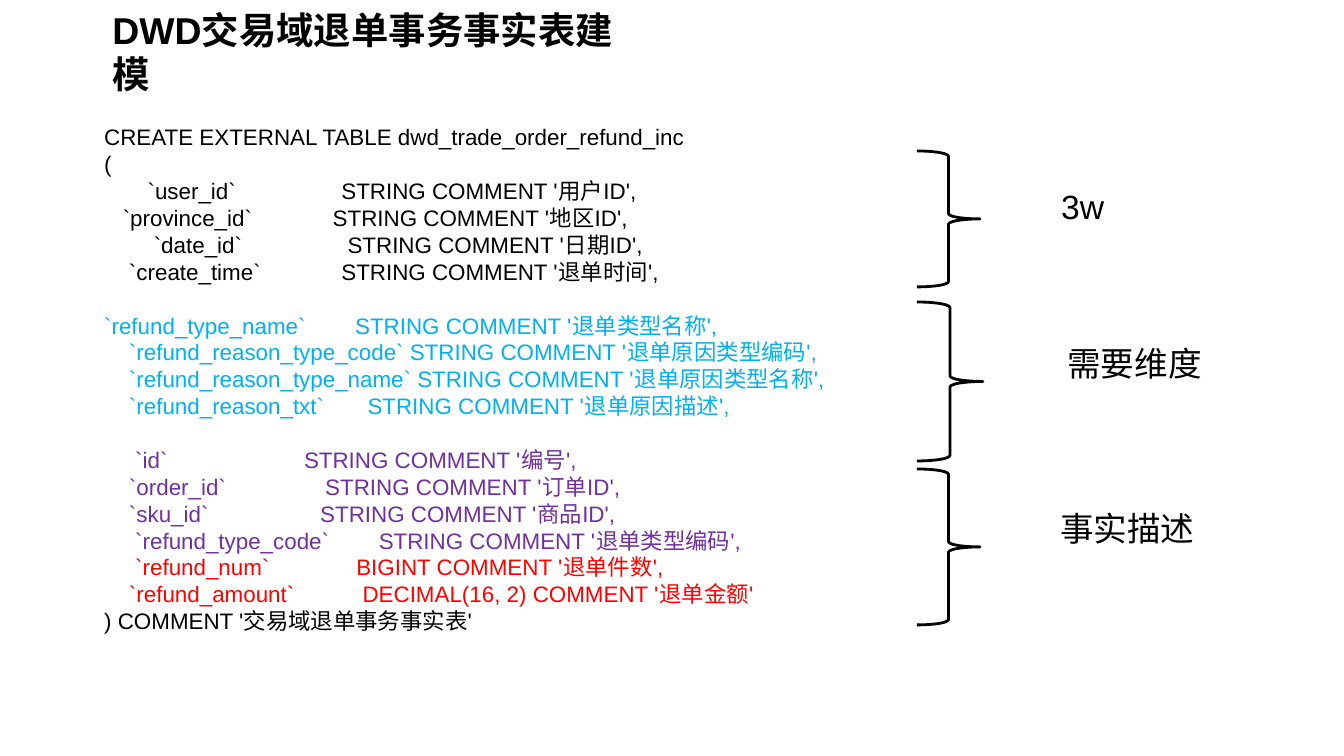
import pptx
import pptx.dml.color
import pptx.enum.shapes
import pptx.enum.text
import pptx.util

EMU_PER_PX = 9144000 / 1344
FONT = "Arial"
BLACK, BLUE, PURPLE, RED = "000000", "00B0F0", "7030A0", "FF0000"
BLANK_LINE = 14.4

CODE_SECTIONS = [
    (BLACK, 0, [
        "CREATE EXTERNAL TABLE dwd_trade_order_refund_inc",
        "(",
        "       `user_id`                 STRING COMMENT '用户ID',",
        "   `province_id`             STRING COMMENT '地区ID',",
        "        `date_id`                 STRING COMMENT '日期ID',",
        "    `create_time`             STRING COMMENT '退单时间',",
    ]),
    (BLUE, BLANK_LINE, [
        "`refund_type_name`        STRING COMMENT '退单类型名称',",
        "    `refund_reason_type_code` STRING COMMENT '退单原因类型编码',",
        "    `refund_reason_type_name` STRING COMMENT '退单原因类型名称',",
        "    `refund_reason_txt`       STRING COMMENT '退单原因描述',",
    ]),
    (PURPLE, BLANK_LINE, [
        "     `id`                      STRING COMMENT '编号',",
        "    `order_id`                STRING COMMENT '订单ID',",
        "    `sku_id`                  STRING COMMENT '商品ID',",
        "     `refund_type_code`        STRING COMMENT '退单类型编码',",
    ]),
    (RED, 0, [
        "     `refund_num`              BIGINT COMMENT '退单件数',",
        "    `refund_amount`           DECIMAL(16, 2) COMMENT '退单金额'",
    ]),
    (BLACK, 0, [") COMMENT '交易域退单事务事实表'"]),
]

BRACED_LABELS = [
    ((917, 151, 63, 136), "3w", (1048, 179, 79, 54)),
    ((917, 302, 66, 159), "需要维度", (1054, 336, 172, 54)),
    ((917, 469, 63, 156), "事实描述", (1047, 501, 165, 54)),
]


def px(length):
    return pptx.util.Emu(round(length * EMU_PER_PX))


def color(value):
    return pptx.dml.color.RGBColor.from_string(value)


def add_run(paragraph, text, size, fill, bold=False):
    run = paragraph.add_run()
    run.text = text
    run.font.name = FONT
    run.font.size = pptx.util.Pt(size)
    run.font.bold = bold
    run.font.color.rgb = color(fill)


def set_title(slide, box, text):
    title = slide.shapes.title
    title.left, title.top, title.width, title.height = map(px, box)
    frame = title.text_frame
    frame.word_wrap = True
    frame.auto_size = pptx.enum.text.MSO_AUTO_SIZE.NONE
    frame.vertical_anchor = pptx.enum.text.MSO_ANCHOR.TOP
    paragraph = frame.paragraphs[0]
    paragraph.alignment = pptx.enum.text.PP_ALIGN.LEFT
    add_run(paragraph, text, 20, BLACK, bold=True)


def add_text_frame(shapes, box):
    frame = shapes.add_textbox(*map(px, box)).text_frame
    frame.word_wrap = True
    return frame


def add_code(slide, box, sections):
    frame = add_text_frame(slide.shapes, box)
    paragraph = frame.paragraphs[0]
    for fill, gap, lines in sections:
        for index, line in enumerate(lines):
            if paragraph.runs:
                paragraph = frame.add_paragraph()
            if gap and index == 0:
                paragraph.space_before = pptx.util.Pt(gap)
            add_run(paragraph, line, 12, fill)


def add_braced_label(slide, brace_box, text, label_box):
    group = slide.shapes.add_group_shape()
    brace = group.shapes.add_shape(
        pptx.enum.shapes.MSO_SHAPE.RIGHT_BRACE, *map(px, brace_box))
    brace.shadow.inherit = False
    brace.fill.background()
    brace.line.color.rgb = color(BLACK)
    brace.line.width = pptx.util.Pt(1.5)
    frame = add_text_frame(group.shapes, label_box)
    add_run(frame.paragraphs[0], text, 18, BLACK)


def main():
    presentation = pptx.Presentation()
    presentation.slide_width = px(1344)
    presentation.slide_height = px(756)
    slide = presentation.slides.add_slide(presentation.slide_layouts[5])
    set_title(slide, (99, 0, 564, 59), "DWD交易域退单事务事实表建模")
    add_code(slide, (91, 117, 810, 530), CODE_SECTIONS)
    for brace_box, text, label_box in BRACED_LABELS:
        add_braced_label(slide, brace_box, text, label_box)
    presentation.save("out.pptx")


if __name__ == "__main__":
    main()
